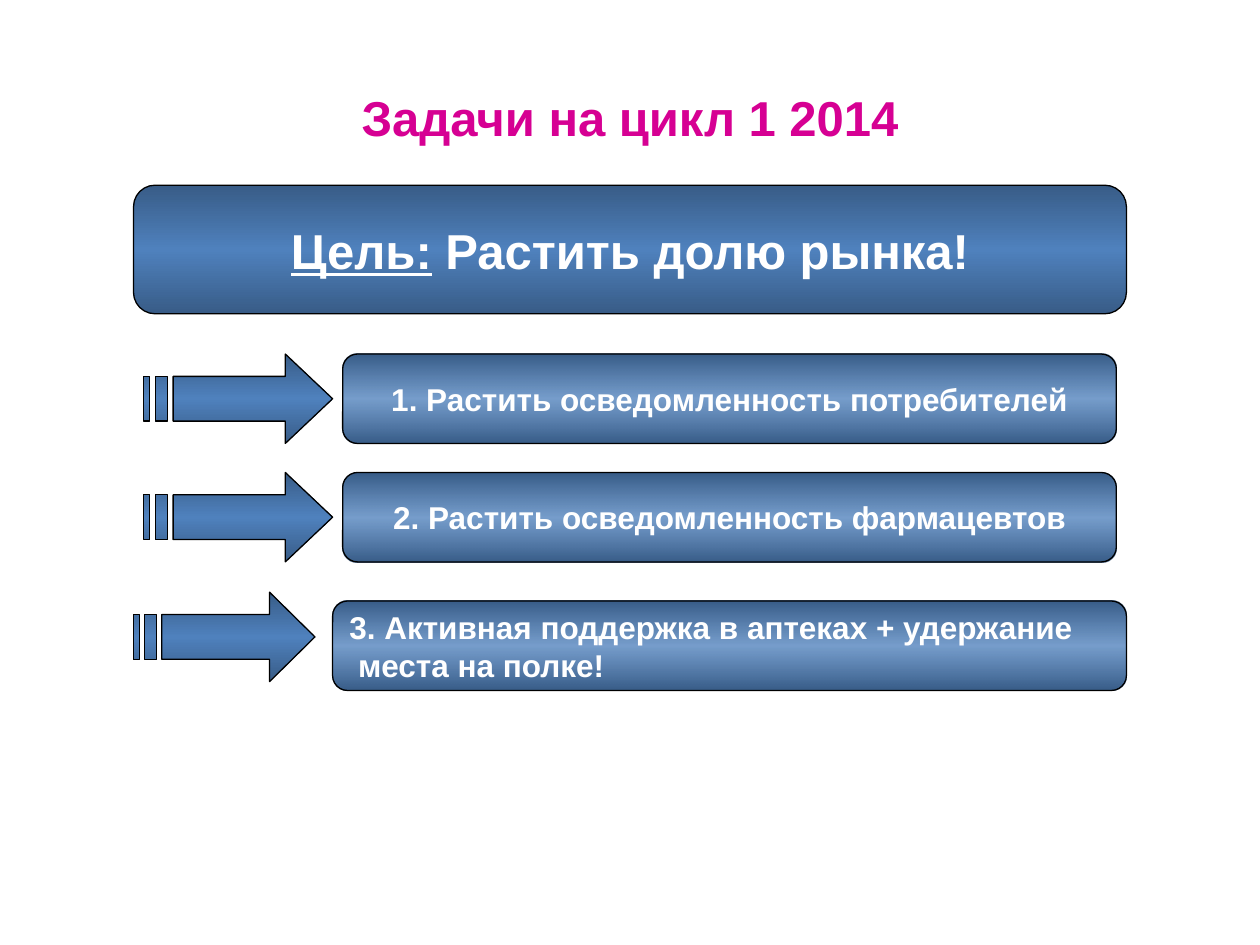
from pptx import Presentation
from pptx.dml.color import RGBColor
from pptx.enum.shapes import MSO_SHAPE as Shape
from pptx.enum.text import MSO_ANCHOR as Anchor, PP_ALIGN as Align
from pptx.oxml import parse_xml
from pptx.oxml.ns import nsdecls, qn
from pptx.util import Inches, Pt

BLACK = RGBColor(0x00, 0x00, 0x00)
WHITE = RGBColor(0xFF, 0xFF, 0xFF)
BLUE = RGBColor(0x4F, 0x81, 0xBD)
MAGENTA = RGBColor(0xD6, 0x00, 0x93)

ROW_HEIGHT = 0.71
ARROW_PARTS = [
    [(0.75, 0), (0.75, 0.25), (5 / 32, 0.25), (5 / 32, 0.75),
     (0.75, 0.75), (0.75, 1), (1, 0.5)],
    [(1 / 16, 0.25), (1 / 16, 0.75), (1 / 8, 0.75), (1 / 8, 0.25)],
    [(0, 0.25), (0, 0.75), (1 / 32, 0.75), (1 / 32, 0.25)],
]
TASKS = [
    (["1. Растить осведомленность потребителей"], Align.CENTER,
     (1.14, 2.81, 1.5), (2.72, 2.81, 6.14)),
    (["2. Растить осведомленность фармацевтов"], Align.CENTER,
     (1.14, 3.75, 1.5), (2.72, 3.75, 6.14)),
    (["3. Активная поддержка в аптеках + удержание", " места на полке!"], Align.LEFT,
     (1.06, 4.7, 1.44), (2.64, 4.77, 6.3)),
]


def format_font(font, size, color):
    font.name = "Arial"
    font.size = Pt(size)
    font.bold = True
    font.color.rgb = color


def style_shape(shape, middle_opacity=100):
    shape.shadow.inherit = False
    shape.line.color.rgb = BLACK
    shape.line.width = Pt(0.75)
    shape.fill.gradient()
    shape.fill.gradient_angle = 270
    stops = "".join(
        f'<a:gs pos="{position * 1000}"><a:srgbClr val="{BLUE}">{change}</a:srgbClr></a:gs>'
        for position, change in [
            (0, '<a:shade val="46275"/>'),
            (50, f'<a:alpha val="{middle_opacity * 1000}"/>'),
            (100, '<a:shade val="46275"/>'),
        ]
    )
    gradient = shape._element.spPr.find(qn("a:gradFill"))
    gradient.replace(
        gradient.find(qn("a:gsLst")),
        parse_xml(f'<a:gsLst {nsdecls("a")}>{stops}</a:gsLst>'),
    )


def add_title(slide, text):
    title = slide.shapes.title
    title.left, title.top = Inches(0.5), Inches(0.3)
    title.width, title.height = Inches(9), Inches(1.25)
    title.text_frame.text = text
    title.text_frame.vertical_anchor = Anchor.MIDDLE
    paragraph = title.text_frame.paragraphs[0]
    paragraph.alignment = Align.CENTER
    format_font(paragraph.runs[0].font, 28, MAGENTA)


def add_box(slide, left, top, width, height, lines, size, alignment, middle_opacity=100):
    box = slide.shapes.add_shape(
        Shape.ROUNDED_RECTANGLE, Inches(left), Inches(top), Inches(width), Inches(height)
    )
    style_shape(box, middle_opacity)
    text_frame = box.text_frame
    text_frame.text = "\n".join(lines)
    text_frame.word_wrap = False
    text_frame.vertical_anchor = Anchor.MIDDLE
    for paragraph in text_frame.paragraphs:
        paragraph.alignment = alignment
        format_font(paragraph.runs[0].font, size, WHITE)
    return box


def add_goal(slide):
    box = add_box(slide, 1.06, 1.47, 7.88, 1.02, ["Цель:"], 28, Align.CENTER)
    paragraph = box.text_frame.paragraphs[0]
    paragraph.runs[0].font.underline = True
    run = paragraph.add_run()
    run.text = " Растить долю рынка!"
    format_font(run.font, 28, WHITE)


def add_striped_arrow(slide, left, top, width):
    parts = [
        [(Inches(left + x * width), Inches(top + y * ROW_HEIGHT)) for x, y in part]
        for part in ARROW_PARTS
    ]
    builder = slide.shapes.build_freeform(*parts[0][0])
    builder.add_line_segments(parts[0][1:], close=True)
    for part in parts[1:]:
        builder.move_to(*part[0])
        builder.add_line_segments(part[1:], close=True)
    style_shape(builder.convert_to_shape())


def main():
    presentation = Presentation()
    presentation.slide_width = Inches(10)
    presentation.slide_height = Inches(7.5)
    slide = presentation.slides.add_slide(presentation.slide_layouts[5])
    add_title(slide, "Задачи на цикл 1 2014")
    add_goal(slide)
    for lines, alignment, arrow_place, box_place in TASKS:
        add_striped_arrow(slide, *arrow_place)
        add_box(slide, *box_place, ROW_HEIGHT, lines, 18, alignment, middle_opacity=77)
    presentation.save("out.pptx")


if __name__ == "__main__":
    main()
